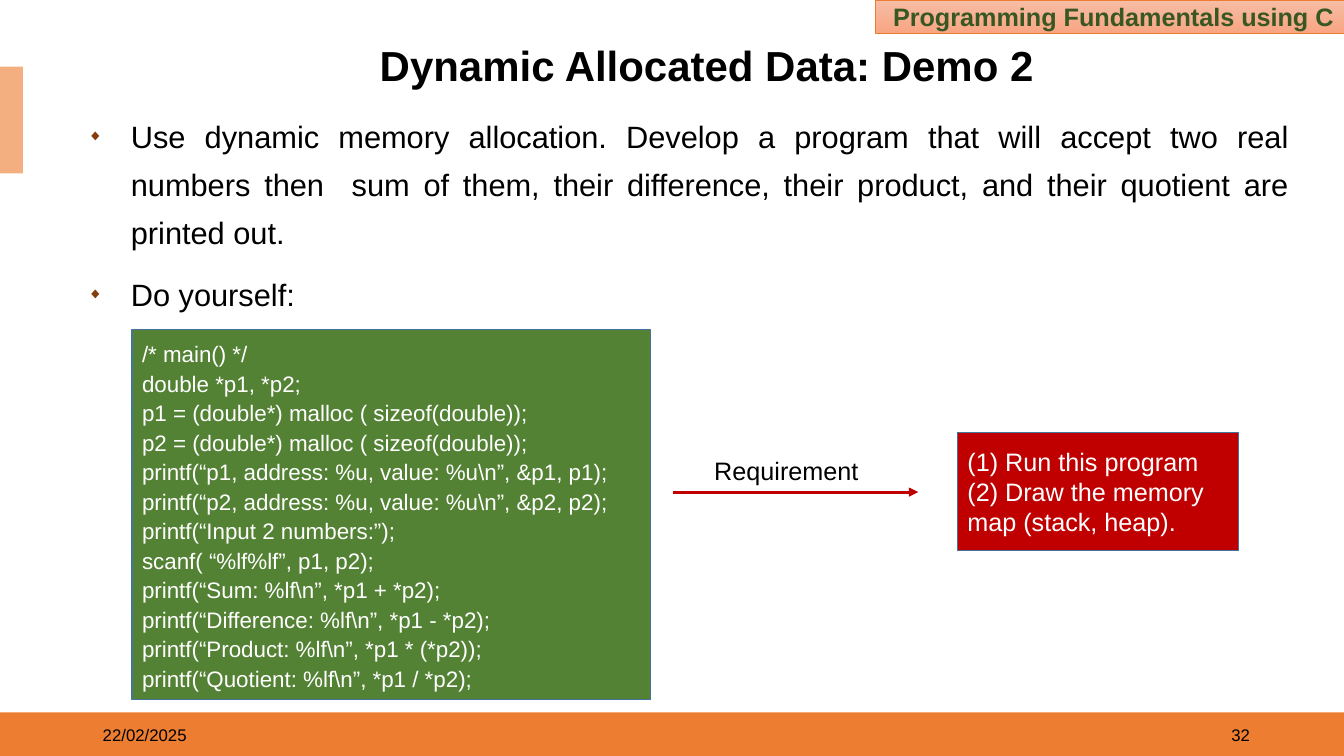
import pptx
import pptx.dml.color
import pptx.enum.shapes
import pptx.enum.text
import pptx.oxml
import pptx.oxml.ns
import pptx.util
from pptx.util import Cm

RGB = pptx.dml.color.RGBColor
ALIGN = pptx.enum.text.PP_ALIGN
ANCHOR = pptx.enum.text.MSO_ANCHOR
NS = pptx.oxml.ns.nsdecls("a")

BLACK = RGB(0x00, 0x00, 0x00)
WHITE = RGB(0xFF, 0xFF, 0xFF)
ORANGE = RGB(0xED, 0x7D, 0x31)
PEACH = RGB(0xF4, 0xAF, 0x80)
PINK = RGB(0xF7, 0xBD, 0xA5)
CORAL = RGB(0xF8, 0xA5, 0x82)
MOSS = RGB(0x38, 0x57, 0x23)
GREEN = RGB(0x54, 0x82, 0x35)
RED = RGB(0xC0, 0x00, 0x00)
BLUE = RGB(0x43, 0x73, 0x9E)
BROWN = "843C0B"

# Content
COURSE = ["Programming Fundamentals using C"]
TITLE = ["Dynamic Allocated Data: Demo 2"]
DATE, PAGE = ["22/02/2025"], ["32"]
LABEL = ["Requirement"]
BODY = [
    "Use dynamic memory allocation. Develop a program that will accept two real "
    "numbers then  sum of them, their difference, their product, and their "
    "quotient are printed out.",
    "Do yourself:",
]
CODE = [
    "/* main() */",
    "double *p1, *p2;",
    "p1 = (double*) malloc ( sizeof(double));",
    "p2 = (double*) malloc ( sizeof(double));",
    r"printf(“p1, address: %u, value: %u\n”, &p1, p1);",
    r"printf(“p2, address: %u, value: %u\n”, &p2, p2);",
    "printf(“Input 2 numbers:”);",
    "scanf( “%lf%lf”, p1, p2);",
    r"printf(“Sum: %lf\n”, *p1 + *p2);",
    r"printf(“Difference: %lf\n”, *p1 - *p2);",
    r"printf(“Product: %lf\n”, *p1 * (*p2));",
    r"printf(“Quotient: %lf\n”, *p1 / *p2);",
]
TASKS = ["(1) Run this program", "(2) Draw the memory map (stack, heap)."]

# Layout in centimetres: left, top, width, height
WIDE, HIGH = 33.87, 19.05
FOOT = 17.95
NOTE = 18.01, 7.62, 1.02
EDGE = 24.13

deck = pptx.Presentation()
deck.slide_width, deck.slide_height = Cm(WIDE), Cm(HIGH)
slide = deck.slides.add_slide(deck.slide_layouts[6])


def add_box(area, fill, edge=None, width=1):
    box = slide.shapes.add_shape(
        pptx.enum.shapes.MSO_SHAPE.RECTANGLE, *map(Cm, area))
    box.shadow.inherit = False
    box.fill.solid()
    box.fill.fore_color.rgb = fill
    if edge is None:
        box.line.fill.background()
    else:
        box.line.color.rgb = edge
        box.line.width = pptx.util.Pt(width)
    return box


def add_text(area):
    return slide.shapes.add_textbox(*map(Cm, area))


def add_mark(para):
    props = para._p.get_or_add_pPr()
    props.set("marL", str(Cm(1.09)))
    props.set("indent", str(-Cm(1.09)))
    for xml in (f'<a:buClr {NS}><a:srgbClr val="{BROWN}"/></a:buClr>',
                f'<a:buSzPct {NS} val="50000"/>',
                f'<a:buFont {NS} typeface="Arial"/>',
                f'<a:buChar {NS} char="◆"/>'):
        props.append(pptx.oxml.parse_xml(xml))


def write(box, lines, size, color=BLACK, align=ALIGN.LEFT, bold=False,
          space=None, gap=0, anchor=ANCHOR.MIDDLE, marks=False):
    frame = box.text_frame
    frame.word_wrap = True
    frame.vertical_anchor = anchor
    for i, line in enumerate(lines):
        para = frame.add_paragraph() if i else frame.paragraphs[0]
        para.text = line
        para.alignment = align
        if space:
            para.line_spacing = space
        if i and gap:
            para.space_before = pptx.util.Pt(gap)
        if marks:
            add_mark(para)
        for run in para.runs:
            run.font.name = "Arial"
            run.font.size = pptx.util.Pt(size)
            run.font.bold = bold
            run.font.color.rgb = color


# Bars and course banner
add_box((0, FOOT, WIDE, HIGH - FOOT), ORANGE)
add_box((0, 1.68, 0.58, 2.69), PEACH)
banner = add_box((22.07, 0, 11.8, 0.85), PINK, ORANGE, 0.5)
banner.fill.gradient()
banner.fill.gradient_angle = 270
for stop, tone in zip(banner.fill.gradient_stops, (PINK, CORAL)):
    stop.color.rgb = tone
write(banner, COURSE, 18, MOSS, ALIGN.RIGHT, bold=True)
rim = pptx.oxml.parse_xml(
    f'<a:ln {NS} w="9525"><a:solidFill><a:srgbClr val="FFFFFF"/>'
    '</a:solidFill></a:ln>')
banner.text_frame.paragraphs[0].runs[0].font._element.insert(0, rim)

# Title and footer
write(add_box((9.32, 1.07, 19.08, 1.3), WHITE), TITLE, 30, bold=True, space=0.9)
write(add_text((EDGE, *NOTE)), PAGE, 12, align=ALIGN.RIGHT)
write(add_text((2.34, *NOTE)), DATE, 12)

# Arrow with its label
arrow = slide.shapes.add_connector(
    pptx.enum.shapes.MSO_CONNECTOR.STRAIGHT,
    Cm(16.97), Cm(12.4), Cm(23.14), Cm(12.4))
arrow.line.color.rgb = RED
arrow.line.width = pptx.util.Pt(2.25)
arrow.line._get_or_add_ln().append(
    pptx.oxml.parse_xml(f'<a:tailEnd {NS} type="triangle"/>'))
arrow._element.spPr.append(pptx.oxml.parse_xml(f'<a:effectLst {NS}/>'))
write(add_text((17.75, 11.35, 4.57, 1.02)), LABEL, 18, anchor=ANCHOR.TOP)

# Bullets, code and tasks
write(add_text((1.96, 2.57, 30.78, 14.22)), BODY, 22, align=ALIGN.JUSTIFY,
      space=1.3, gap=10, anchor=ANCHOR.TOP, marks=True)
write(add_box((3.33, 8.31, 13.06, 9.32), GREEN, BLUE), CODE, 16, WHITE, space=1.1)
write(add_box((EDGE, 10.9, 7.09, 2.97), RED, BLUE), TASKS, 18, WHITE)

deck.save("out.pptx")
